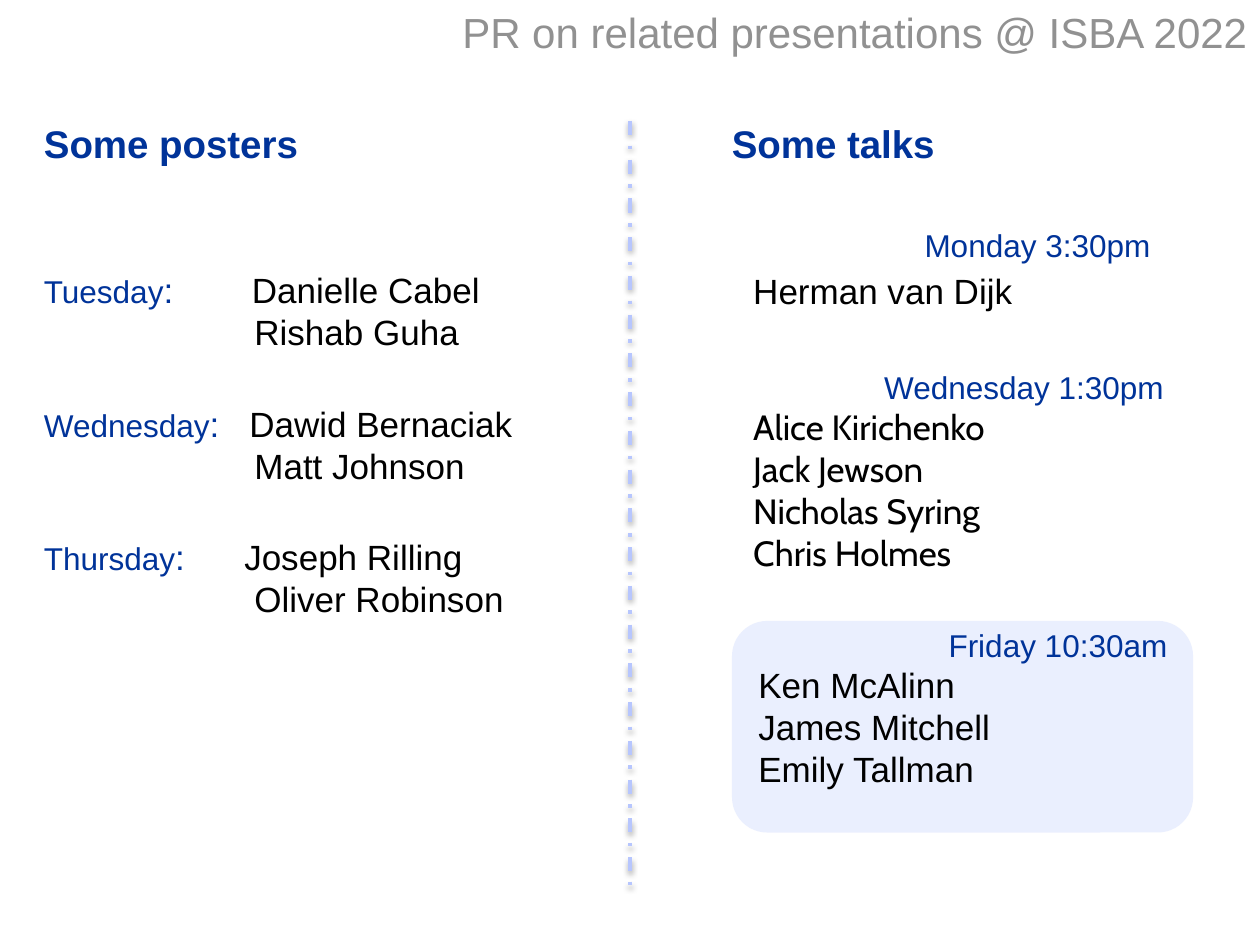
"""Build the slide listing related ISBA 2022 posters and talks."""
import pptx
import pptx.util
import pptx.dml.color
import pptx.enum.dml
import pptx.enum.shapes
import pptx.enum.text
import pptx.oxml

Pt = pptx.util.Pt
NAVY = pptx.dml.color.RGBColor(0x00, 0x33, 0x99)
BLACK = pptx.dml.color.RGBColor(0x00, 0x00, 0x00)
GREY = pptx.dml.color.RGBColor(0x91, 0x91, 0x91)
PERIWINKLE = pptx.dml.color.RGBColor(0xB7, 0xC6, 0xFE)
NS = 'xmlns:a="http://schemas.openxmlformats.org/drawingml/2006/main"'

deck = pptx.Presentation()
deck.slide_width = pptx.util.Inches(10)
deck.slide_height = pptx.util.Inches(7.5)
W, H = deck.slide_width, deck.slide_height
slide = deck.slides.add_slide(deck.slide_layouts[5])


def add_column(left, top, width, height):
    box = slide.shapes.add_textbox(int(left * W), int(top * H), int(width * W), int(height * H))
    box.text_frame.word_wrap = True
    return box.text_frame


def add_line(frame, text, size, color, before=0, indent=0, font="Arial", bold=False, tab=0):
    line = frame.paragraphs[0] if not frame.text else frame.add_paragraph()
    properties = line._p.get_or_add_pPr()
    properties.set("marL", str(int(indent * W)))
    if tab:
        properties.append(pptx.oxml.parse_xml(
            f'<a:tabLst {NS}><a:tab pos="{int(tab * W)}" algn="l"/></a:tabLst>'))
    if before:
        line.space_before = Pt(before)
    line.font.name, line.font.size, line.font.bold = font, Pt(size), bold
    line.font.color.rgb = color
    line.add_run().text = text
    return line


title = slide.shapes.title
title.left, title.top, title.width, title.height = int(0.143 * W), 0, int(0.857 * W), int(0.079 * H)
title.text_frame.text = "PR on related presentations @ ISBA 2022"
title.text_frame.vertical_anchor = pptx.enum.text.MSO_ANCHOR.TOP
heading = title.text_frame.paragraphs[0]
heading.alignment = pptx.enum.text.PP_ALIGN.RIGHT
heading.font.name, heading.font.size = "Arial", Pt(24)
heading.font.color.rgb = GREY

divider = slide.shapes.add_connector(
    pptx.enum.shapes.MSO_CONNECTOR.STRAIGHT, W // 2, int(0.128 * H), W // 2, int(0.937 * H))
divider.line.color.rgb = PERIWINKLE
divider.line.width = Pt(2)
divider.line.dash_style = pptx.enum.dml.MSO_LINE.DASH_DOT
divider._element.spPr.append(pptx.oxml.parse_xml(
    f'<a:effectLst {NS}><a:outerShdw blurRad="{Pt(3.1)}" dist="{Pt(1.6)}" dir="5400000">'
    '<a:srgbClr val="000000"><a:alpha val="38000"/></a:srgbClr></a:outerShdw></a:effectLst>'))

posters = add_column(0.025, 0.12, 0.445, 0.69)
add_line(posters, "Some posters", 22, NAVY, bold=True)
poster_days = [
    ("Tuesday", "Danielle Cabel", "Rishab Guha", 58.5, 0.165),
    ("Wednesday", "Dawid Bernaciak", "Matt Johnson", 28.5, 0.163),
    ("Thursday", "Joseph Rilling", "Oliver Robinson", 28.5, 0.159),
]
for day, first, second, gap, name_tab in poster_days:
    line = add_line(posters, day, 18, NAVY, gap, tab=name_tab)
    for text, color in ((":\t", NAVY), (first, BLACK)):
        run = line.add_run()
        run.text = text
        run.font.size = Pt(20)
        run.font.color.rgb = color
    add_line(posters, second, 20, BLACK, indent=0.167)

friday_panel = slide.shapes.add_shape(
    pptx.enum.shapes.MSO_SHAPE.ROUNDED_RECTANGLE,
    int(0.581 * W), int(0.657 * H), int(0.366 * W), int(0.224 * H))
friday_panel.shadow.inherit = False
friday_panel.line.fill.background()
friday_panel.fill.solid()
friday_panel.fill.fore_color.rgb = PERIWINKLE
friday_panel._element.spPr.find(".//{*}srgbClr").append(
    pptx.oxml.parse_xml(f'<a:alpha {NS} val="28000"/>'))

talks = add_column(0.571, 0.12, 0.37, 0.52)
friday = add_column(0.584, 0.656, 0.366, 0.22)
add_line(talks, "Some talks", 22, NAVY, bold=True)
sessions = [
    (talks, "Monday 3:30pm", 34.5, 0.153, ["Herman van Dijk"], 3, 0.017, "Arial"),
    (talks, "Wednesday 1:30pm", 32.5, 0.121,
     ["Alice Kirichenko", "Jack Jewson", "Nicholas Syring", "Chris Holmes"], 0, 0.017, "Cabin"),
    (friday, "Friday 10:30am", 0, 0.159,
     ["Ken McAlinn", "James Mitchell", "Emily Tallman"], 0, 0.008, "Arial"),
]
for frame, slot, gap, slot_indent, speakers, name_gap, name_indent, font in sessions:
    add_line(frame, slot, 18, NAVY, gap, slot_indent)
    for speaker in speakers:
        add_line(frame, speaker, 20, BLACK, name_gap, name_indent, font)

deck.save("out.pptx")
